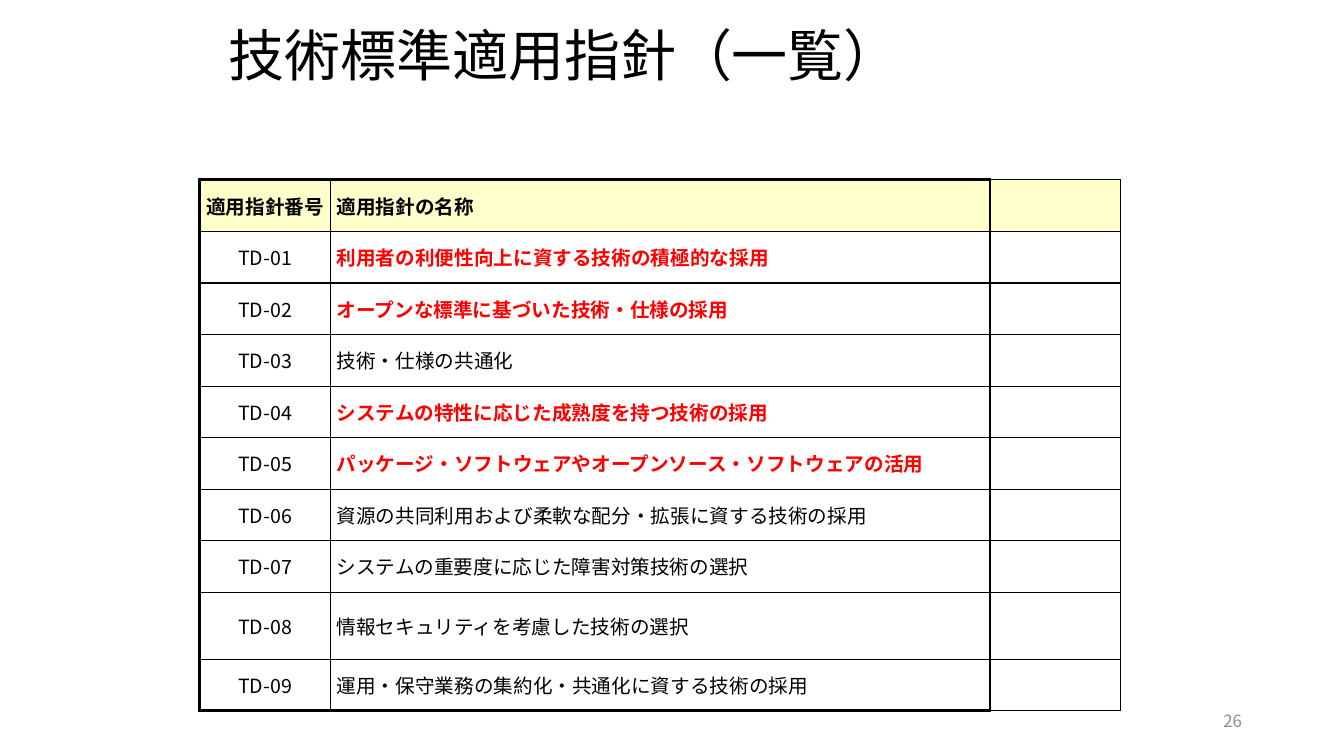
from dataclasses import dataclass

from lxml import etree
from pptx import Presentation
from pptx.dml import color
from pptx.enum import text
from pptx.oxml import ns
from pptx.util import Pt

FONT = "Noto Sans CJK JP"
HUES = {"black": "000000", "red": "FF0000", "gray": "8C8C8C", "cream": "FFFFCC"}
THIN, MID, THICK = 1, 1.5, 2.25
COLS = [93.6, 471, 93.4]
HEAD, ROW, TALL = 37.2, 36.8, 48


@dataclass
class Guide:
    code: str
    name: str
    key: bool = False
    high: float = ROW


@dataclass
class Label:
    words: str
    left: float
    top: float
    width: float
    height: float
    size: float
    hue: str
    align: text.PP_ALIGN
    space: float = 1


GUIDES = [
    Guide("TD-01", "利用者の利便性向上に資する技術の積極的な採用", True),
    Guide("TD-02", "オープンな標準に基づいた技術・仕様の採用", True),
    Guide("TD-03", "技術・仕様の共通化"),
    Guide("TD-04", "システムの特性に応じた成熟度を持つ技術の採用", True),
    Guide("TD-05", "パッケージ・ソフトウェアやオープンソース・ソフトウェアの活用", True),
    Guide("TD-06", "資源の共同利用および柔軟な配分・拡張に資する技術の採用"),
    Guide("TD-07", "システムの重要度に応じた障害対策技術の選択"),
    Guide("TD-08", "情報セキュリティを考慮した技術の選択", high=TALL),
    Guide("TD-09", "運用・保守業務の集約化・共通化に資する技術の採用"),
]
LABELS = [
    Label("技術標準適用指針（一覧）", 156.2, 21.6, 648, 40.3, 40, "black",
          text.PP_ALIGN.LEFT, 0.9),
    Label("26", 678.2, 500.4, 216, 28.8, 12, "gray", text.PP_ALIGN.RIGHT),
]


def add_run(para, words: str, size: float, hue: str, bold: bool = False) -> None:
    run = para.add_run()
    run.text = words
    font = run.font
    font.size = Pt(size)
    font.bold = bold
    font.color.rgb = color.RGBColor.from_string(HUES[hue])
    font.name = FONT
    east = etree.SubElement(run._r.get_or_add_rPr(), ns.qn("a:ea"))
    east.set("typeface", FONT)


def add_label(slide, label: Label) -> None:
    box = slide.shapes.add_textbox(
        Pt(label.left), Pt(label.top), Pt(label.width), Pt(label.height))
    frame = box.text_frame
    frame.word_wrap = True
    frame.vertical_anchor = text.MSO_ANCHOR.MIDDLE
    para = frame.paragraphs[0]
    para.alignment = label.align
    para.line_spacing = label.space
    add_run(para, label.words, label.size, label.hue)


def set_edges(cell, edges: dict[str, float]) -> None:
    props = cell._tc.get_or_add_tcPr()
    for spot, (side, width) in enumerate(edges.items()):
        line = etree.Element(ns.qn(f"a:ln{side}"), w=str(Pt(width)))
        fill = etree.SubElement(line, ns.qn("a:solidFill"))
        etree.SubElement(fill, ns.qn("a:srgbClr"), val=HUES["black"])
        props.insert(spot, line)


def fill_cell(cell, words: str, row: int, col: int, key: bool) -> None:
    cell.vertical_anchor = text.MSO_ANCHOR.MIDDLE
    cell.margin_left = cell.margin_right = Pt(4.3)
    cell.margin_top = cell.margin_bottom = Pt(2.9)
    if row == 0:
        cell.fill.solid()
        cell.fill.fore_color.rgb = color.RGBColor.from_string(HUES["cream"])
    else:
        cell.fill.background()
    if words:
        para = cell.text_frame.paragraphs[0]
        para.alignment = text.PP_ALIGN.LEFT if col else text.PP_ALIGN.CENTER
        add_run(para, words, 14, "red" if key else "black", key or row == 0)
    rim = THICK if col < 2 else THIN
    set_edges(cell, {
        "L": THIN if col == 1 else THICK,
        "R": THICK if col == 1 else THIN,
        "T": {0: rim, 1: MID}.get(row, THIN),
        "B": {0: MID, len(GUIDES): rim}.get(row, THIN),
    })


def add_list(slide) -> None:
    highs = [HEAD] + [guide.high for guide in GUIDES]
    frame = slide.shapes.add_table(
        len(highs), len(COLS), Pt(142.6), Pt(128.2), Pt(sum(COLS)), Pt(sum(highs)))
    table = frame.table
    for col, width in enumerate(COLS):
        table.columns[col].width = Pt(width)
    heads = Guide("適用指針番号", "適用指針の名称")
    for row, (guide, high) in enumerate(zip([heads] + GUIDES, highs)):
        table.rows[row].height = Pt(high)
        for col, words in enumerate([guide.code, guide.name, ""]):
            fill_cell(table.cell(row, col), words, row, col, guide.key and col == 1)


def main() -> None:
    deck = Presentation()
    deck.slide_width, deck.slide_height = Pt(960), Pt(540)
    slide = deck.slides.add_slide(deck.slide_layouts[6])
    add_list(slide)
    for label in LABELS:
        add_label(slide, label)
    deck.save("out.pptx")


if __name__ == "__main__":
    main()
